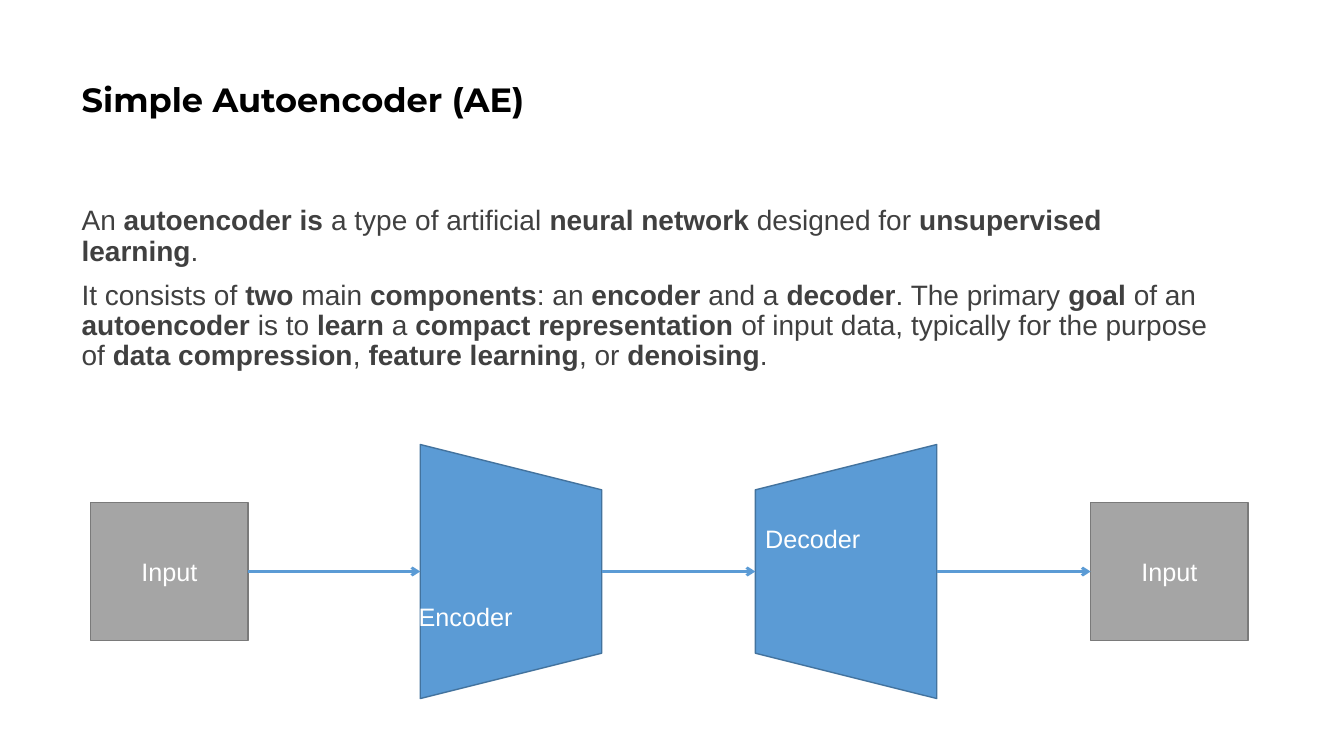
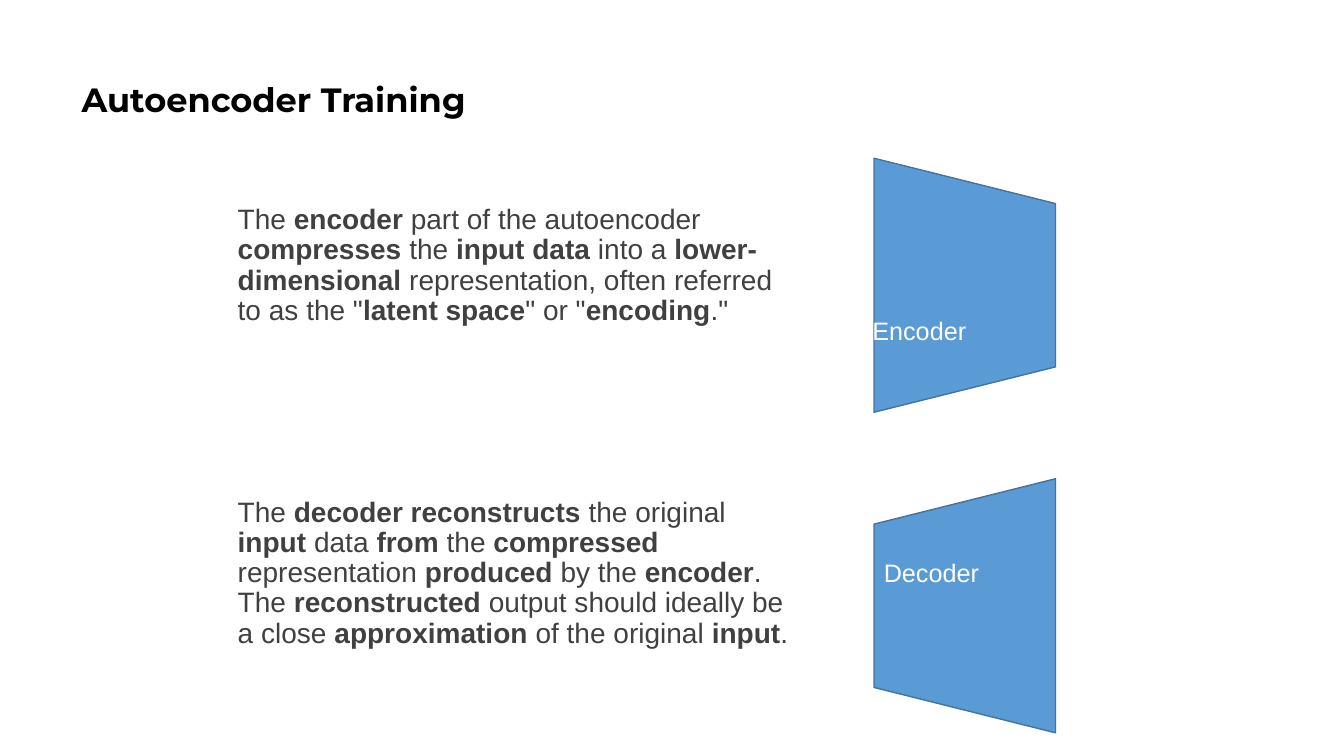
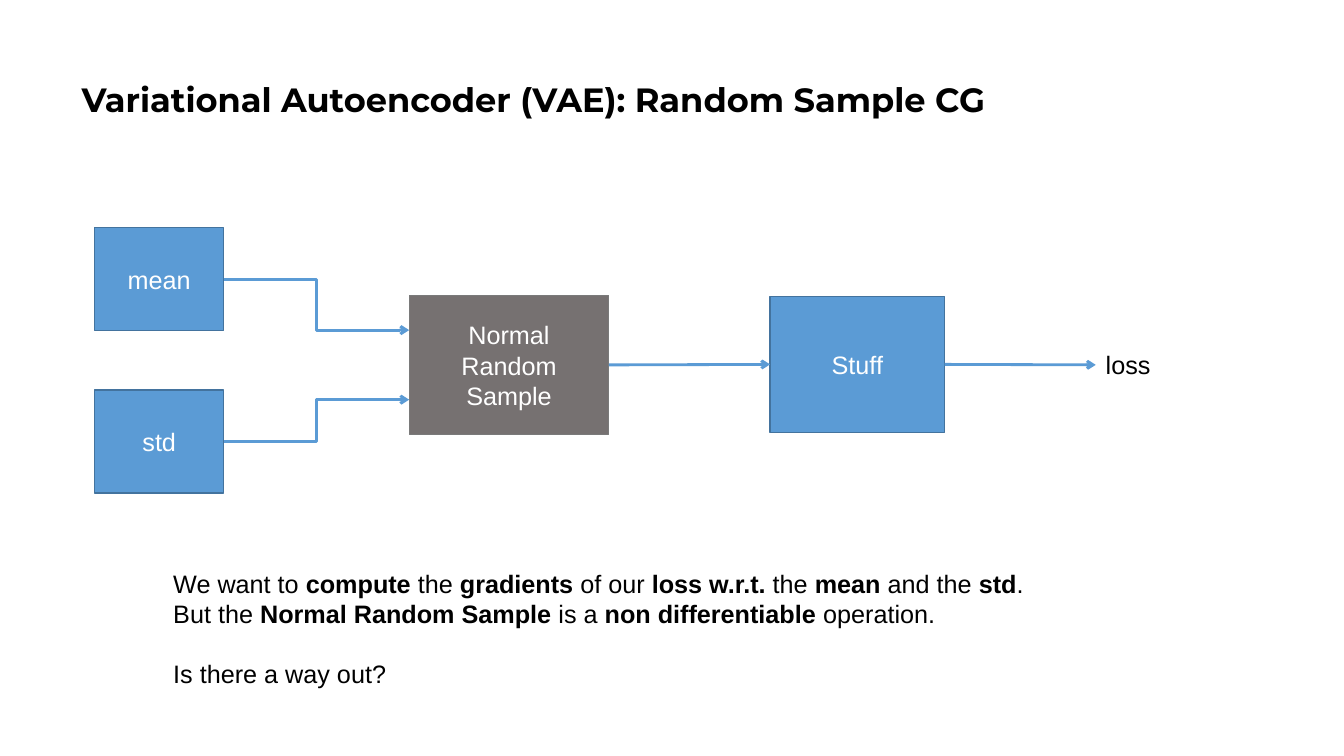
from dataclasses import dataclass
from typing import Optional

from lxml.etree import SubElement
from pptx import Presentation
from pptx.dml.color import RGBColor
from pptx.enum.shapes import MSO_CONNECTOR, MSO_SHAPE
from pptx.enum.text import MSO_ANCHOR, MSO_AUTO_SIZE, PP_ALIGN
from pptx.oxml.ns import qn
from pptx.shapes.autoshape import Shape
from pptx.slide import Slide
from pptx.text.text import TextFrame
from pptx.util import Inches, Pt

SLIDE_WIDTH = Inches(13.33)
SLIDE_HEIGHT = Inches(7.5)
TITLE_ONLY = 5

BLACK = RGBColor(0x00, 0x00, 0x00)
WHITE = RGBColor(0xFF, 0xFF, 0xFF)
BODY_GRAY = RGBColor(0x40, 0x40, 0x40)
BLUE = RGBColor(0x5B, 0x9B, 0xD5)
BLUE_EDGE = RGBColor(0x43, 0x73, 0x9E)
GRAY = RGBColor(0xA5, 0xA5, 0xA5)
DARK_GRAY = RGBColor(0x76, 0x71, 0x71)
GRAY_EDGE = RGBColor(0x7A, 0x7A, 0x7A)


def across(percent: float) -> int:
    return round(SLIDE_WIDTH * percent / 100)


def down(percent: float) -> int:
    return round(SLIDE_HEIGHT * percent / 100)


@dataclass(frozen=True)
class Frame:
    """A rectangle in percent of the slide's width and height."""
    left: float
    top: float
    width: float
    height: float

    @property
    def emu(self) -> tuple[int, int, int, int]:
        return across(self.left), down(self.top), across(self.width), down(self.height)


@dataclass(frozen=True)
class TextStyle:
    size: int
    color: RGBColor
    font: str = "Arial"
    bold: Optional[bool] = None
    align: PP_ALIGN = PP_ALIGN.LEFT
    line_spacing: float = 1.0
    space_before: int = 0


@dataclass(frozen=True)
class Box:
    frame: Frame
    text: str
    fill: RGBColor = BLUE
    edge: RGBColor = BLUE_EDGE


@dataclass(frozen=True)
class Coder:
    """A trapezoid lying on its side, with its label shifted off its centre."""
    label: str
    rotation: int
    shift_across: float
    shift_down: float


@dataclass(frozen=True)
class End:
    """An arrow's end: a point, and the shape side it is joined to, if any."""
    x: int
    y: int
    shape: Optional[Shape] = None
    side: int = 0


TITLE_STYLE = TextStyle(24, BLACK, "Montserrat", True, line_spacing=0.9)
BODY_STYLE = TextStyle(20, BODY_GRAY, line_spacing=0.9, space_before=10)
NOTE_STYLE = TextStyle(18, BLACK)
LABEL_STYLE = TextStyle(18, WHITE, align=PP_ALIGN.CENTER)

TITLE_FRAME = Frame(5.33, 3.73, 86.25, 19.33)
CODER_WIDTH, CODER_HEIGHT = 13.5, 33.6
LABEL_WIDTH, LABEL_HEIGHT = 9, 6
ENCODER = Coder("Encoder", 90, -3.38, 6)
DECODER = Coder("Decoder", 270, -2.48, -4.4)


def write(text_frame: TextFrame, text: str, style: TextStyle) -> None:
    """Write one paragraph a line; words between ** marks are bold."""
    text_frame.word_wrap = True
    for index, line in enumerate(text.split("\n")):
        paragraph = text_frame.paragraphs[0] if index == 0 else text_frame.add_paragraph()
        paragraph.alignment = style.align
        paragraph.line_spacing = style.line_spacing
        paragraph.space_before = Pt(style.space_before)
        paragraph.font.name = style.font
        paragraph.font.size = Pt(style.size)
        paragraph.font.color.rgb = style.color
        paragraph.font.bold = style.bold
        for position, part in enumerate(line.split("**")):
            if part:
                run = paragraph.add_run()
                run.text = part
                if position % 2:
                    run.font.bold = True


def add_titled_slide(presentation: Presentation, title: str) -> Slide:
    slide = presentation.slides.add_slide(presentation.slide_layouts[TITLE_ONLY])
    shape = slide.shapes.title
    shape.left, shape.top, shape.width, shape.height = TITLE_FRAME.emu
    shape.text_frame.auto_size = MSO_AUTO_SIZE.NONE
    shape.text_frame.vertical_anchor = MSO_ANCHOR.MIDDLE
    write(shape.text_frame, title, TITLE_STYLE)
    return slide


def add_text(slide: Slide, frame: Frame, text: str, style: TextStyle) -> Shape:
    shape = slide.shapes.add_textbox(*frame.emu)
    write(shape.text_frame, text, style)
    return shape


def paint(shape: Shape, fill: RGBColor, edge: RGBColor) -> None:
    shape.shadow.inherit = False
    shape.fill.solid()
    shape.fill.fore_color.rgb = fill
    shape.line.color.rgb = edge
    shape.line.width = Pt(1)


def add_box(slide: Slide, box: Box) -> Shape:
    shape = slide.shapes.add_shape(MSO_SHAPE.RECTANGLE, *box.frame.emu)
    paint(shape, box.fill, box.edge)
    shape.text_frame.vertical_anchor = MSO_ANCHOR.MIDDLE
    write(shape.text_frame, box.text, LABEL_STYLE)
    return shape


def add_coder(slide: Slide, coder: Coder, left: float, top: float) -> Frame:
    """Draw the coder and return the frame it fills once turned."""
    frame = Frame(left, top, CODER_WIDTH, CODER_HEIGHT)
    x, y, width, height = frame.emu
    trapezoid = slide.shapes.add_shape(
        MSO_SHAPE.TRAPEZOID,
        x + (width - height) // 2, y + (height - width) // 2, height, width)
    trapezoid.rotation = coder.rotation
    paint(trapezoid, BLUE, BLUE_EDGE)
    label_frame = Frame(
        left + (CODER_WIDTH - LABEL_WIDTH) / 2 + coder.shift_across,
        top + (CODER_HEIGHT - LABEL_HEIGHT) / 2 + coder.shift_down,
        LABEL_WIDTH, LABEL_HEIGHT)
    label = add_text(slide, label_frame, coder.label, LABEL_STYLE)
    label.text_frame.vertical_anchor = MSO_ANCHOR.MIDDLE
    return frame


def left_of(shape: Shape) -> End:
    return End(shape.left, shape.top + shape.height // 2, shape, 1)


def right_of(shape: Shape) -> End:
    return End(shape.left + shape.width, shape.top + shape.height // 2, shape, 3)


def frame_end(frame: Frame, share_across: float, share_down: float = 0.5) -> End:
    """A free end at the given shares of a frame's width and height."""
    return End(across(frame.left + frame.width * share_across),
               down(frame.top + frame.height * share_down))


def add_arrow(slide: Slide, start: End, end: End,
              kind: MSO_CONNECTOR = MSO_CONNECTOR.STRAIGHT) -> None:
    connector = slide.shapes.add_connector(kind, start.x, start.y, end.x, end.y)
    if start.shape is not None:
        connector.begin_connect(start.shape, start.side)
    if end.shape is not None:
        connector.end_connect(end.shape, end.side)
    connector.line.color.rgb = BLUE
    connector.line.width = Pt(2)
    SubElement(connector.line._get_or_add_ln(), qn("a:tailEnd"), type="arrow")
    SubElement(connector._element.spPr, qn("a:effectLst"))


def build_simple_autoencoder(presentation: Presentation) -> None:
    slide = add_titled_slide(presentation, "Simple Autoencoder (AE)")
    add_text(
        slide, Frame(5.33, 26.67, 86.25, 30.27),
        "An **autoencoder is** a type of artificial **neural network** designed for "
        "**unsupervised learning**.\n"
        "It consists of **two** main** components**: an **encoder **and a **decoder**. "
        "The primary **goal **of an **autoencoder **is to **learn **a "
        "**compact representation **of input data, typically for the purpose of "
        "**data compression**, **feature learning**, or **denoising**.",
        BODY_STYLE)
    first, last = (
        add_box(slide, Box(Frame(left, 66.47, 11.7, 18.27), "Input", GRAY, GRAY_EDGE))
        for left in (6.75, 81.15))
    encoder = add_coder(slide, ENCODER, 31.27, 58.8)
    decoder = add_coder(slide, DECODER, 56.2, 58.8)
    add_arrow(slide, right_of(first), frame_end(encoder, 0))
    add_arrow(slide, frame_end(encoder, 1), frame_end(decoder, 0))
    add_arrow(slide, frame_end(decoder, 1), left_of(last))


def build_training(presentation: Presentation) -> None:
    slide = add_titled_slide(presentation, "Autoencoder Training")
    add_text(
        slide, Frame(16.95, 26.53, 43.2, 22.4),
        "The **encoder** part of the autoencoder **compresses **the **input data** into a "
        "**lower-dimensional** representation, often referred to as the "
        '"**latent space**" or "**encoding**."',
        BODY_STYLE)
    add_text(
        slide, Frame(16.95, 65.2, 43.2, 30),
        "The **decoder reconstructs** the original **input** data **from** the "
        "**compressed **representation **produced **by the **encoder**. "
        "The **reconstructed **output should ideally be a close **approximation **of the "
        "original **input**.",
        BODY_STYLE)
    add_coder(slide, ENCODER, 65.03, 20.93)
    add_coder(slide, DECODER, 65.03, 63.33)


def build_random_sample(presentation: Presentation) -> None:
    slide = add_titled_slide(
        presentation, "Variational Autoencoder (VAE): Random Sample CG")
    sample_frame = Frame(30.45, 39.07, 14.85, 18.4)
    mean = add_box(slide, Box(Frame(7.05, 30.13, 9.6, 13.6), "mean"))
    std = add_box(slide, Box(Frame(7.05, 51.6, 9.6, 13.6), "std"))
    sample = add_box(
        slide, Box(sample_frame, "Normal\nRandom\nSample", DARK_GRAY, GRAY_EDGE))
    stuff = add_box(slide, Box(Frame(57.3, 39.2, 12.98, 18), "Stuff"))
    loss = add_text(slide, Frame(81.53, 45.6, 5.1, 5.33), "loss", NOTE_STYLE)

    for parameter, share_down in ((mean, 0.25), (std, 0.75)):
        start = right_of(parameter)
        add_arrow(slide, End(start.x, start.y), frame_end(sample_frame, 0, share_down),
                  MSO_CONNECTOR.ELBOW)
    add_arrow(slide, right_of(sample), left_of(stuff))
    add_arrow(slide, right_of(stuff), left_of(loss))

    note = add_text(
        slide, Frame(12.15, 74.53, 75.6, 17.47),
        "We want to **compute **the **gradients **of our **loss w.r.t.** the **mean **and "
        "the **std**.\n"
        "But the **Normal Random Sample** is a** non differentiable** operation.\n"
        "Is there a way out?",
        NOTE_STYLE)
    note.text_frame.paragraphs[-1].space_before = Pt(21)


def main() -> None:
    presentation = Presentation()
    presentation.slide_width = SLIDE_WIDTH
    presentation.slide_height = SLIDE_HEIGHT
    build_simple_autoencoder(presentation)
    build_training(presentation)
    build_random_sample(presentation)
    presentation.save("out.pptx")


if __name__ == "__main__":
    main()
